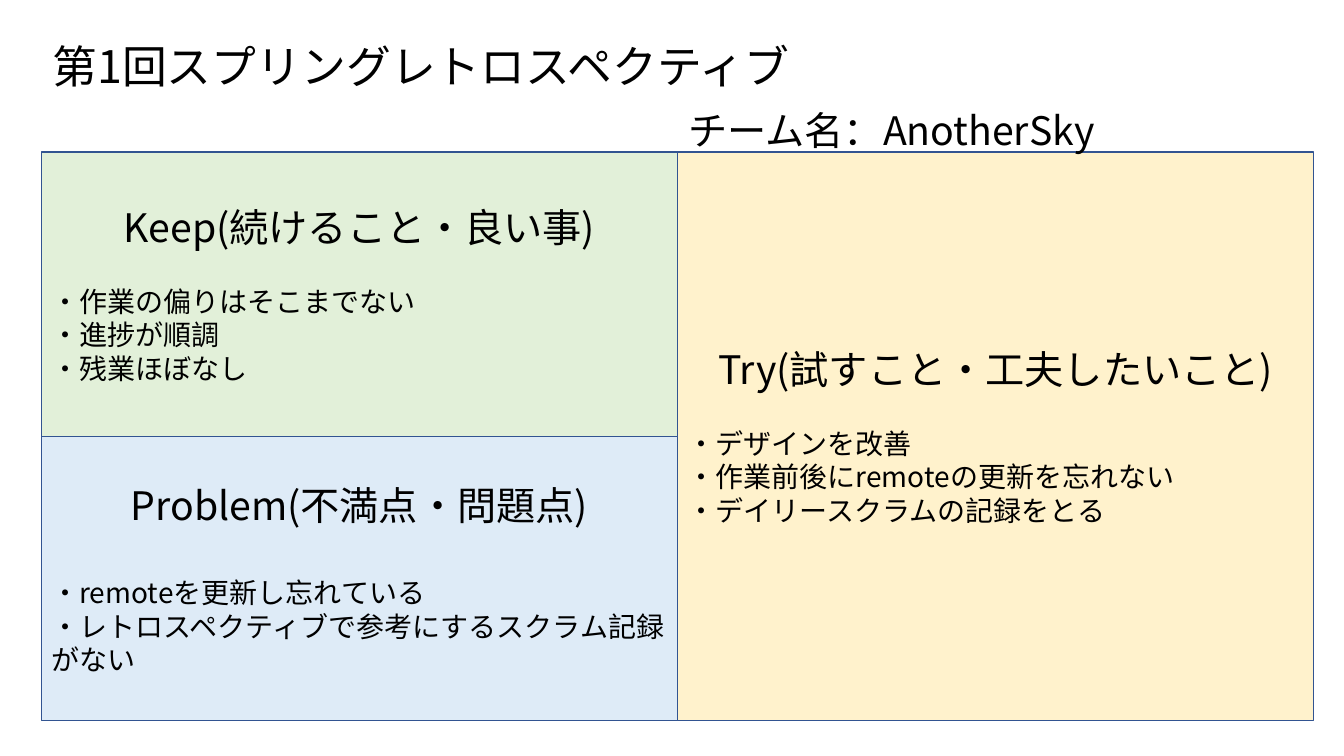
"""Build the sprint retrospective slide with its Keep, Problem and Try panels."""
import dataclasses

import lxml.etree
import pptx
import pptx.dml.color
import pptx.enum.shapes
import pptx.enum.text
import pptx.oxml.ns
import pptx.util

EMU_PER_PX = 9144
FONT = "Noto Sans CJK JP"
LEFT, TOP, PANEL_WIDTH, PANEL_HEIGHT = 41, 151, 631, 282


@dataclasses.dataclass(frozen=True)
class Panel:
    column: int
    row: int
    row_span: int
    fill: str
    heading: str
    gap: int
    items: tuple[str, ...]


PANELS = (
    Panel(1, 0, 2, "FFF2CC", "Try(試すこと・工夫したいこと)", 24,
          ("・デザインを改善", "・作業前後にremoteの更新を忘れない", "・デイリースクラムの記録をとる")),
    Panel(0, 0, 1, "E2F0D9", "Keep(続けること・良い事)", 24,
          ("・作業の偏りはそこまでない", "・進捗が順調", "・残業ほぼなし")),
    Panel(0, 1, 1, "DEEBF7", "Problem(不満点・問題点)", 34,
          ("・remoteを更新し忘れている", "・レトロスペクティブで参考にするスクラム記録がない")),
)


def px(length: int) -> pptx.util.Emu:
    return pptx.util.Emu(length * EMU_PER_PX)


def color(value: str) -> pptx.dml.color.RGBColor:
    return pptx.dml.color.RGBColor.from_string(value)


def write(para, text: str, size: int, align=pptx.enum.text.PP_ALIGN.LEFT) -> None:
    para.text = text
    para.alignment = align
    for span in para.runs:
        span.font.size = pptx.util.Pt(size)
        span.font.name = FONT
        span.font.color.rgb = color("000000")
        east_asian = lxml.etree.SubElement(span.font._element, pptx.oxml.ns.qn("a:ea"))
        east_asian.set("typeface", FONT)


def add_title(page, text: str) -> None:
    title = page.shapes.title
    title.left, title.top, title.width, title.height = map(px, (42, 27, 1248, 82))
    frame = title.text_frame
    frame.auto_size = pptx.enum.text.MSO_AUTO_SIZE.NONE
    frame.vertical_anchor = pptx.enum.text.MSO_ANCHOR.MIDDLE
    write(frame.paragraphs[0], text, 32)
    frame.paragraphs[0].line_spacing = 0.9


def add_panel(page, panel: Panel) -> None:
    box = page.shapes.add_shape(
        pptx.enum.shapes.MSO_SHAPE.RECTANGLE,
        px(LEFT + panel.column * PANEL_WIDTH), px(TOP + panel.row * PANEL_HEIGHT),
        px(PANEL_WIDTH), px(panel.row_span * PANEL_HEIGHT))
    box.shadow.inherit = False
    box.fill.solid()
    box.fill.fore_color.rgb = color(panel.fill)
    box.line.color.rgb = color("325491")
    box.line.width = pptx.util.Pt(1)
    frame = box.text_frame
    frame.word_wrap = True
    frame.vertical_anchor = pptx.enum.text.MSO_ANCHOR.MIDDLE
    heading = frame.paragraphs[0]
    write(heading, panel.heading, 28, pptx.enum.text.PP_ALIGN.CENTER)
    heading.space_after = pptx.util.Pt(panel.gap)
    for item in panel.items:
        write(frame.add_paragraph(), item, 20)


def add_team(page, text: str) -> None:
    box = page.shapes.add_textbox(px(673), px(101), px(629), px(57))
    box.text_frame.word_wrap = True
    write(box.text_frame.paragraphs[0], text, 28)


def main() -> None:
    deck = pptx.Presentation()
    deck.slide_width, deck.slide_height = px(1333), px(750)
    page = deck.slides.add_slide(deck.slide_layouts.get_by_name("Title Only"))
    add_title(page, "第1回スプリングレトロスペクティブ")
    for panel in PANELS:
        add_panel(page, panel)
    add_team(page, "チーム名：AnotherSky")
    deck.save("out.pptx")


if __name__ == "__main__":
    main()
